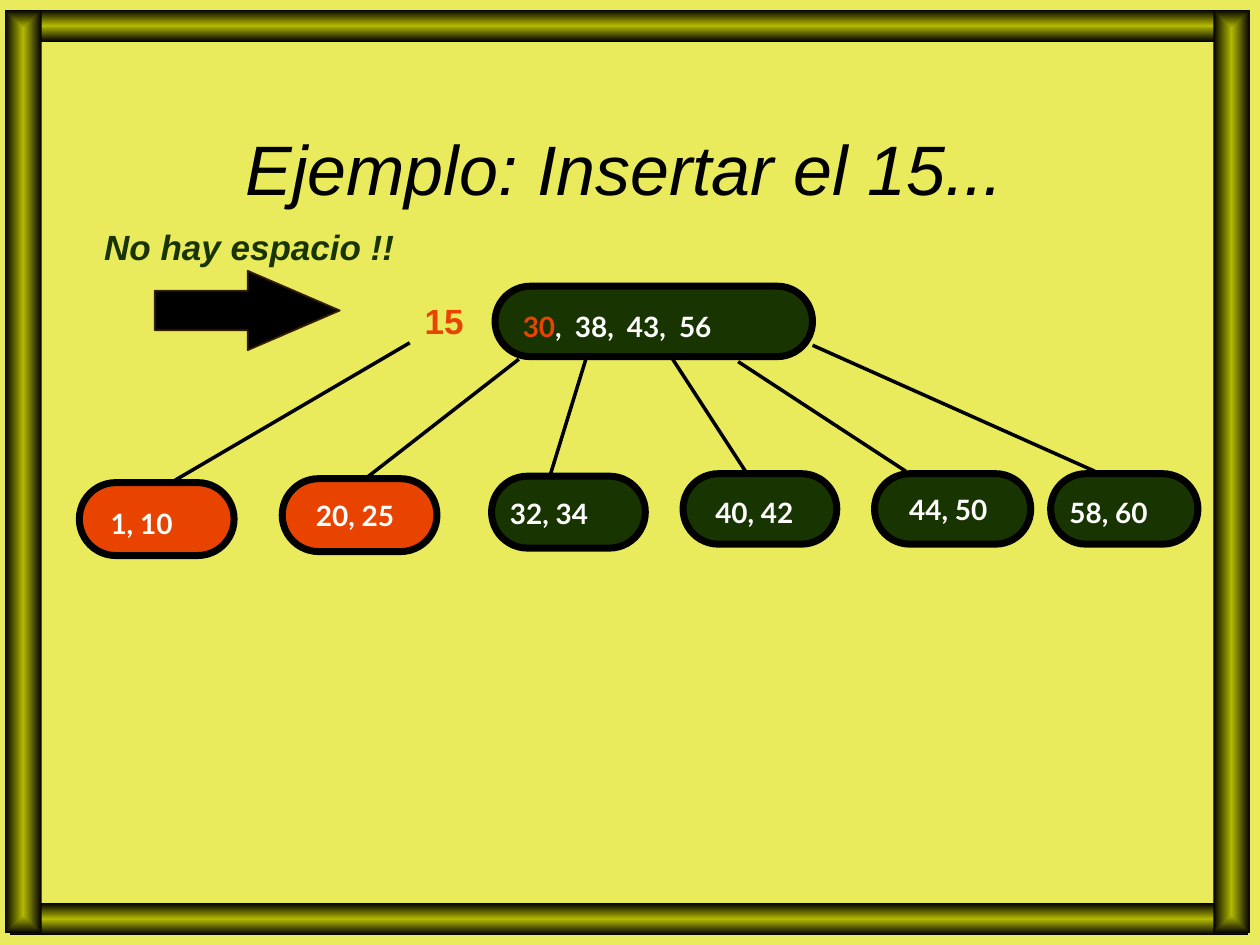
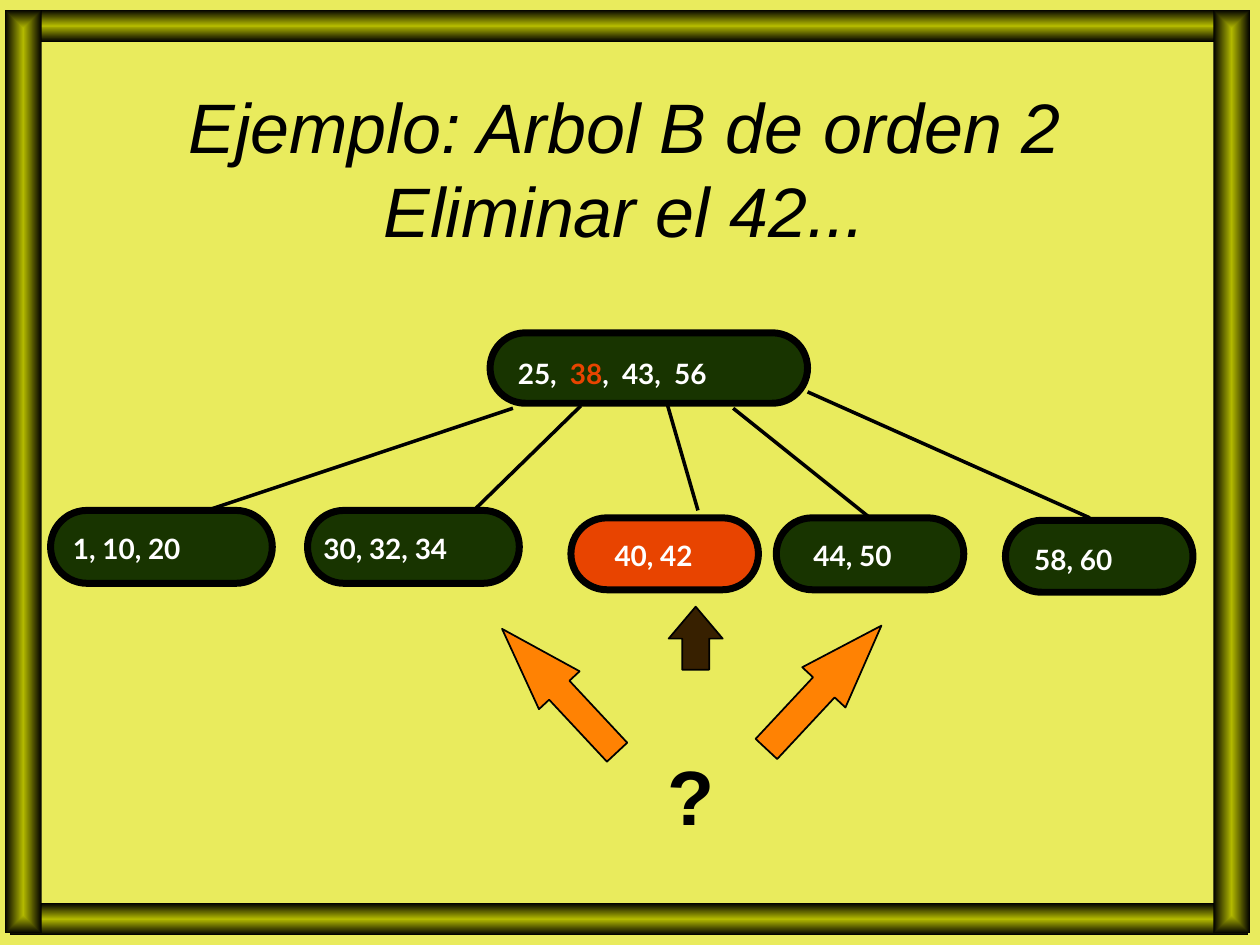
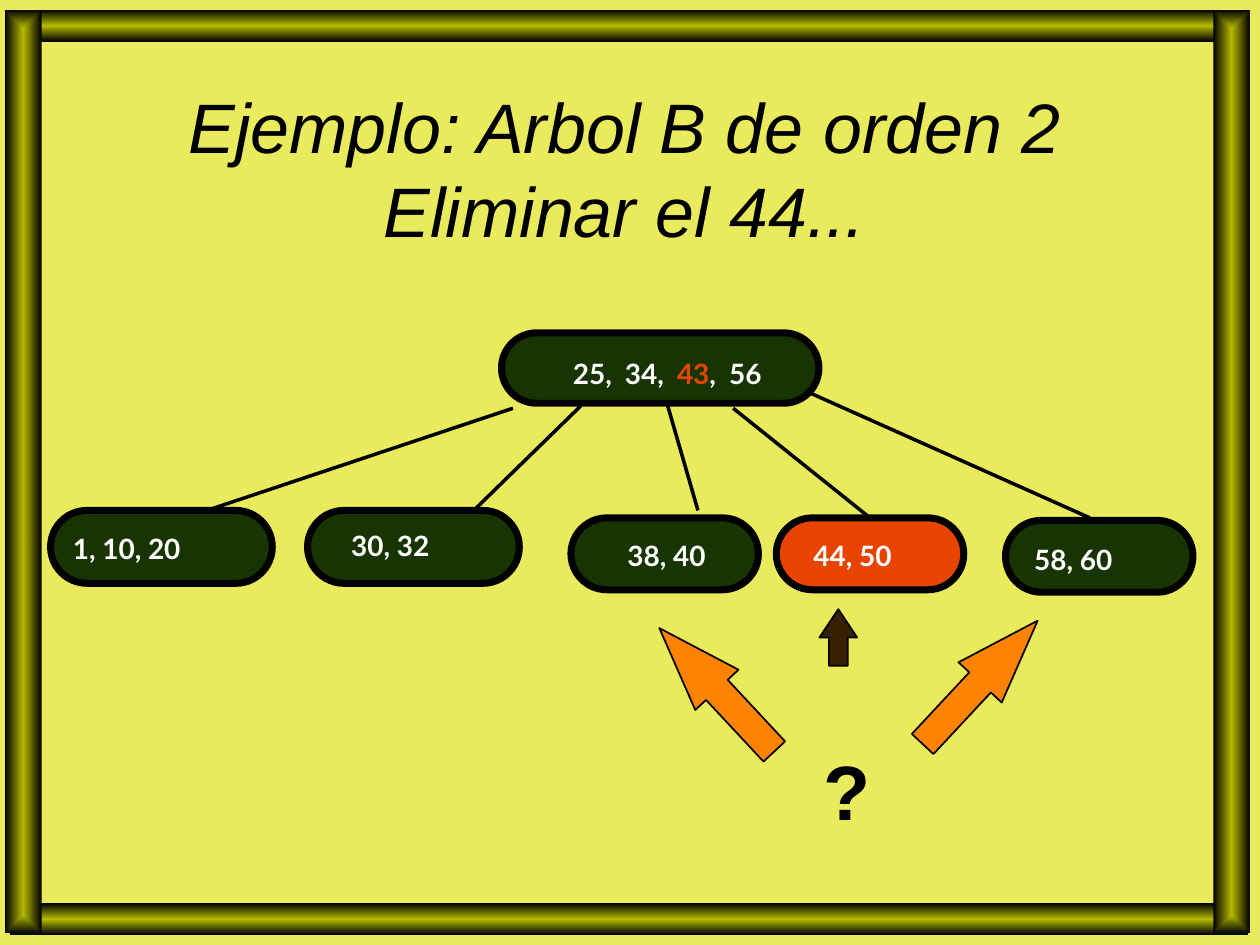
import pptx
import pptx.util
import pptx.dml.color
import pptx.enum.shapes
import pptx.enum.text
import pptx.oxml
import pptx.oxml.ns

Cm = pptx.util.Cm
Pt = pptx.util.Pt
SHAPE = pptx.enum.shapes.MSO_SHAPE
CENTER = pptx.enum.text.PP_ALIGN.CENTER
MIDDLE = pptx.enum.text.MSO_ANCHOR.MIDDLE
NS = pptx.oxml.ns.nsdecls("a")

BLACK, WHITE = "000000", "FFFFFF"
YELLOW, OLIVE = "E9EB5D", "B3B900"
GREEN, RED, ORANGE, BROWN = "183400", "E84400", "FF8203", "372000"
KEY_PITCH = 1.05  # cm between the keys of a root node


def rgb(value):
    return pptx.dml.color.RGBColor.from_string(value)


def write(tf, text, size=16, font="Lato", color=WHITE, bold=True, italic=False,
          align=None, marked=None):
    """Write text into the first paragraph; the part equal to marked is red."""
    p = tf.paragraphs[0]
    if "\t" in text:
        stops = "".join(f'<a:tab pos="{Cm(KEY_PITCH * i)}" algn="l"/>' for i in range(1, 4))
        p._p.get_or_add_pPr().append(
            pptx.oxml.parse_xml(f"<a:tabLst {NS}>{stops}</a:tabLst>"))
    p.alignment = align
    before, found, after = text.partition(marked) if marked else (text, "", "")
    for part, part_color in ((before, color), (found, RED), (after, color)):
        for i, line in enumerate(part.split("\n")):
            if i:
                p.add_line_break()
            if line:
                r = p.add_run()
                r.text = line
                r.font.name, r.font.size = font, Pt(size)
                r.font.bold, r.font.italic = bold, italic
                r.font.color.rgb = rgb(part_color)


class Deck:
    """Holds the presentation, its shared style and the current slide."""

    def __init__(self):
        self.prs = pptx.Presentation()
        self.prs.slide_width, self.prs.slide_height = Cm(25.4), Cm(19.05)
        self.layout = self.prs.slide_layouts[6]
        fill = self.prs.slide_master.background.fill
        fill.solid()
        fill.fore_color.rgb = rgb(YELLOW)
        self.slide = None

    def new_slide(self, title):
        first = self.slide is None
        self.slide = self.prs.slides.add_slide(self.layout)
        if first:
            self.frame()
        tf = self.text(title, 0.84, 1.78, 23.5, 3.18, size=40, font="Arial",
                       color=BLACK, bold=False, italic=True, align=CENTER)
        tf.vertical_anchor = MIDDLE

    def frame(self):
        """Draw the four bars and hand them to the layout, so all slides show them."""
        for box in ((0.2, 0.2, 24.97, 0.64), (0.2, 18.21, 24.97, 0.64),
                    (0.1, 0.2, 0.74, 18.62), (24.46, 0.2, 0.74, 18.62)):
            sp = self.shape(SHAPE.RECTANGLE, box, OLIVE)
            sp.fill.gradient()
            for stop, color, position in zip(sp.fill.gradient_stops, (OLIVE, BLACK), (0, 1)):
                stop.color.rgb, stop.position = rgb(color), position
            grad = sp._element.spPr.find(pptx.oxml.ns.qn("a:gradFill"))
            grad.remove(grad.find(pptx.oxml.ns.qn("a:lin")))
            grad.append(pptx.oxml.parse_xml(
                f'<a:path {NS} path="rect"><a:fillToRect l="50000" t="50000" '
                'r="50000" b="50000"/></a:path>'))
            self.layout.shapes._spTree.append(sp._element)

    def shape(self, kind, box, fill, line=None, width=1):
        sp = self.slide.shapes.add_shape(kind, *map(Cm, box))
        sp.shadow.inherit = False
        sp.fill.solid()
        sp.fill.fore_color.rgb = rgb(fill)
        if line:
            sp.line.color.rgb, sp.line.width = rgb(line), Pt(width)
        else:
            sp.line.fill.background()
        return sp

    def text(self, text, left, top, width, height, **style):
        tf = self.slide.shapes.add_textbox(*map(Cm, (left, top, width, height))).text_frame
        tf.word_wrap = True
        write(tf, text, **style)
        return tf

    def node(self, box, keys, label_at, fill=GREEN, marked=None):
        sp = self.shape(SHAPE.ROUNDED_RECTANGLE, box, fill, BLACK, 4)
        sp.adjustments[0] = 0.5
        label_width = 6.05 if "\t" in keys else 3.2
        self.text(keys, *label_at, label_width, 0.91, marked=marked)
        return sp

    def link(self, x1, y1, x2, y2, child=None):
        """Draw a branch; it is joined to the top of child when one is given."""
        line = self.slide.shapes.add_connector(
            pptx.enum.shapes.MSO_CONNECTOR.STRAIGHT, *map(Cm, (x1, y1, x2, y2)))
        line.line.color.rgb, line.line.width = rgb(BLACK), Pt(2)
        line._element.spPr.append(pptx.oxml.parse_xml(f"<a:effectLst {NS}/>"))
        if child is not None:
            line.end_connect(child, 0)

    def arrow(self, box, head, fill, line=BLACK, rotation=0):
        sp = self.shape(SHAPE.RIGHT_ARROW, box, fill, line)
        sp.adjustments[0], sp.adjustments[1] = 0.5, head
        sp.rotation = rotation


def insertion_slide(deck):
    deck.new_slide("Ejemplo: Insertar el 15...")
    deck.node((9.98, 5.77, 6.4, 1.42), "30,\t38,\t43,\t56", (10.29, 6.12), marked="30")
    for box, keys, label_at, fill in (
            ((1.6, 9.73, 3.12, 1.47), "1, 10", (1.98, 10.08), RED),
            ((5.69, 9.65, 3.12, 1.47), "20, 25", (6.12, 9.93), RED),
            ((9.91, 9.6, 3.1, 1.45), "32, 34", (10.03, 9.88), GREEN),
            ((13.77, 9.55, 3.1, 1.42), "40, 42", (14.17, 9.86), GREEN),
            ((17.63, 9.55, 3.15, 1.42), "44, 50", (18.08, 9.8), GREEN),
            ((21.18, 9.55, 2.97, 1.42), "58, 60", (21.31, 9.86), GREEN)):
        deck.node(box, keys, label_at, fill)
    for ends in ((8.26, 6.91, 3.53, 9.68), (10.46, 7.24, 7.39, 9.63),
                 (11.81, 7.24, 11.1, 9.55), (13.56, 7.24, 15.06, 9.55),
                 (14.88, 7.29, 18.26, 9.5), (16.38, 6.96, 22.07, 9.5)):
        deck.link(*ends)
    deck.text("15", 8.31, 5.92, 1.3, 1.09, size=20, font="Arial", color=RED)
    deck.arrow((3.12, 5.46, 3.73, 1.6), 1.16, BLACK, BROWN)
    deck.text("No hay espacio !!", 1.85, 4.42, 6.6, 1.09, size=20, font="Arial",
              color=GREEN, italic=True)


def deletion_slide(deck, key, root, marked, leaves, target, arrows, question_at):
    """root is (left, label left, keys); leaves are (keys, label left, label top)."""
    deck.new_slide(f"Ejemplo: Arbol B de orden 2\nEliminar el {key}...")
    left, label_left, keys = root
    deck.node((left, 6.71, 6.4, 1.42), keys, (label_left, 7.06), marked=marked)
    boxes = ((1.02, 10.29, 4.47, 1.47), (6.2, 10.29, 4.27, 1.47),
             (11.51, 10.44, 3.78, 1.45), (15.65, 10.44, 3.78, 1.45),
             (20.27, 10.49, 3.78, 1.45))
    nodes = [deck.node(box, text, label_at, RED if i == target else GREEN)
             for i, (box, (text, *label_at)) in enumerate(zip(boxes, leaves))]
    deck.link(10.34, 8.23, 4.11, 10.31)
    deck.link(11.71, 8.18, 9.6, 10.24)
    deck.link(13.46, 8.18, 14.07, 10.29)
    deck.link(14.78, 8.23, 17.54, 10.44, nodes[3])
    deck.link(16.28, 7.9, 21.97, 10.44)
    for (box, head), fill, rotation in zip(arrows, (BROWN, ORANGE, ORANGE), (270, 227, 313)):
        deck.arrow(box, head, fill, rotation=rotation)
    deck.text("?", *question_at, 1.45, 2.11, size=44, font="Arial", color=BLACK)


def main():
    deck = Deck()
    insertion_slide(deck)
    first, fourth, fifth = (("1, 10, 20", 1.22, 10.59), ("44, 50", 16.15, 10.74),
                            ("58, 60", 20.6, 10.82))
    deletion_slide(
        deck, 42, (9.88, 10.19, "25,\t38,\t43,\t56"), "38",
        (first, ("30, 32, 34", 6.27, 10.59), ("40, 42", 12.14, 10.74), fourth, fifth), 2,
        (((13.39, 12.32, 1.27, 1.09), 0.59), ((9.58, 13.36, 3.4, 1.12), 1.51),
         ((14.91, 13.26, 3.4, 1.19), 1.43)), (13.21, 14.96))
    deletion_slide(
        deck, 44, (10.11, 11.3, "25,\t34,\t43,\t56"), "43",
        (first, ("30, 32", 6.83, 10.54), ("38, 40", 12.4, 10.74), fourth, fifth), 3,
        (((16.33, 12.47, 1.14, 0.76), 0.75), ((12.75, 13.31, 3.4, 1.19), 1.43),
         ((18.06, 13.16, 3.4, 1.19), 1.43)), (16.36, 14.86))
    deck.prs.save("out.pptx")


if __name__ == "__main__":
    main()
